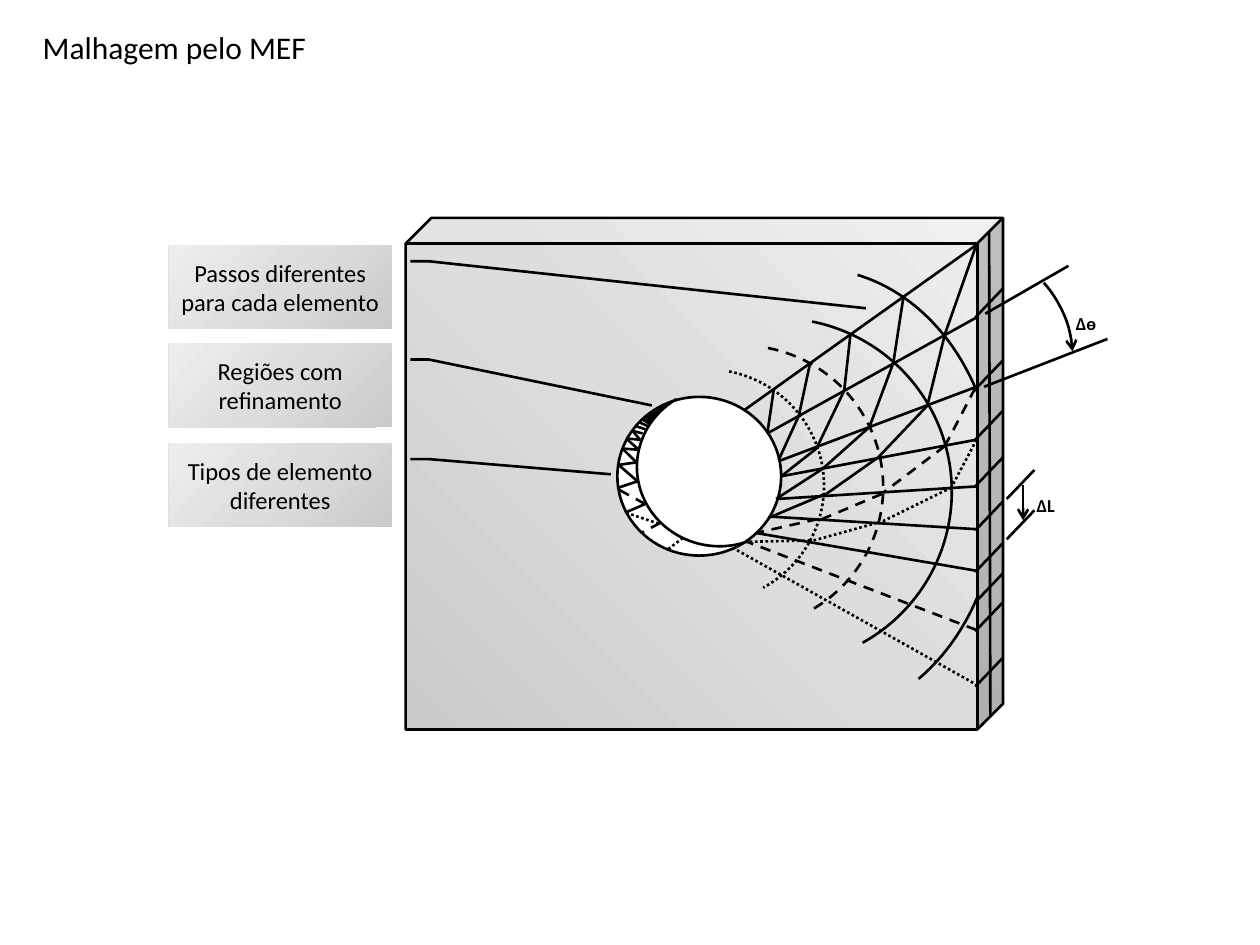
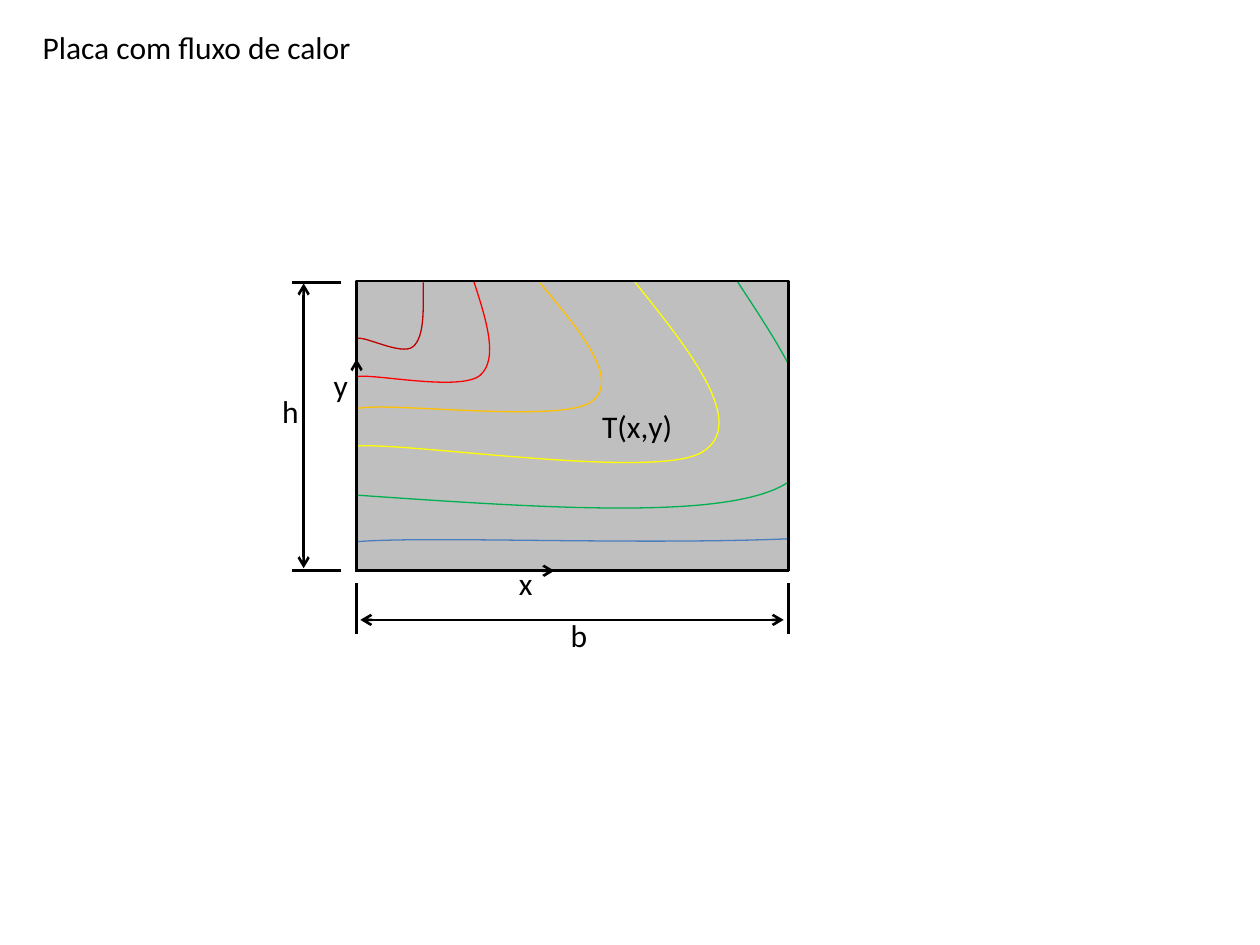
from dataclasses import dataclass
from itertools import pairwise

from lxml.etree import SubElement
from pptx import Presentation
from pptx.dml.color import RGBColor
from pptx.enum.dml import MSO_LINE
from pptx.enum.shapes import MSO_CONNECTOR, MSO_SHAPE
from pptx.enum.text import MSO_ANCHOR, MSO_AUTO_SIZE, PP_ALIGN
from pptx.oxml.ns import qn
from pptx.shapes.autoshape import Shape
from pptx.slide import Slide
from pptx.text.text import Font
from pptx.util import Inches, Pt

Point = tuple[float, float]
Frame = tuple[float, float, float, float]


@dataclass(frozen=True)
class Theme:
    font: str = "Calibri"
    ink: str = "000000"
    paper: str = "FFFFFF"
    plate: str = "BFBFBF"
    metal: tuple[str, ...] = ("CACACA", "DDDDDD", "EEEEEE")
    text_size: float = 18
    callout_size: float = 14
    line_width: float = 1.5
    isotherm_width: float = 0.75


THEME = Theme()
DASH, DOT = MSO_LINE.DASH, MSO_LINE.ROUND_DOT


@dataclass(frozen=True)
class Chain:
    """Points joined one after the other by straight lines."""
    points: tuple[Point, ...]
    dash: MSO_LINE | None = None


@dataclass(frozen=True)
class Arc:
    frame: Frame
    start: float
    end: float
    dash: MSO_LINE | None = None
    rotation: float = 270
    arrow: bool = False


@dataclass(frozen=True)
class Callout:
    text: str
    top: float
    target: Point


@dataclass(frozen=True)
class Isotherm:
    """Start point, then three control points for each cubic curve."""
    color: str
    points: tuple[Point, ...]


# Shared drawing functions
def style_line(shape, dash: MSO_LINE | None = None, ends: str = "",
               color: str = THEME.ink, width: float = THEME.line_width) -> None:
    shape.line.color.rgb = RGBColor.from_string(color)
    shape.line.width = Pt(width)
    if dash is not None:
        shape.line.dash_style = dash
    outline = shape._element.spPr.find(qn("a:ln"))
    for end in ends.split():
        SubElement(outline, qn(f"a:{end}End"), type="arrow")


def style_font(font: Font, size: float) -> None:
    font.name = THEME.font
    font.size = Pt(size)
    font.color.rgb = RGBColor.from_string(THEME.ink)


def add_line(page: Slide, start: Point, end: Point,
             dash: MSO_LINE | None = None, ends: str = "") -> None:
    line = page.shapes.add_connector(
        MSO_CONNECTOR.STRAIGHT, *(Inches(value) for value in start + end))
    style_line(line, dash, ends)
    SubElement(line._element.spPr, qn("a:effectLst"))


def add_chain(page: Slide, chain: Chain) -> None:
    for start, end in pairwise(chain.points):
        add_line(page, start, end, chain.dash)


def add_preset(page: Slide, kind: MSO_SHAPE, frame: Frame, fill: str | None = None,
               adjustments: tuple[float, ...] = (), outlined: bool = True) -> Shape:
    shape = page.shapes.add_shape(kind, *(Inches(value) for value in frame))
    shape.shadow.inherit = False
    for index, value in enumerate(adjustments):
        shape.adjustments[index] = value
    if fill:
        shape.fill.solid()
        shape.fill.fore_color.rgb = RGBColor.from_string(fill)
    else:
        shape.fill.background()
    if outlined:
        style_line(shape)
    else:
        shape.line.fill.background()
    return shape


def fill_metal(shape: Shape) -> None:
    shape.fill.gradient()
    shape.fill.gradient_angle = 45
    stops = shape._element.spPr.find(qn("a:gradFill")).find(qn("a:gsLst"))
    for stop in list(stops):
        stops.remove(stop)
    for index, color in enumerate(THEME.metal):
        stop = SubElement(stops, qn("a:gs"), pos=str(index * 50000))
        SubElement(stop, qn("a:srgbClr"), val=color)


def add_arc(page: Slide, arc: Arc) -> None:
    shape = add_preset(page, MSO_SHAPE.ARC, arc.frame, adjustments=(arc.start, arc.end))
    shape.rotation = arc.rotation
    style_line(shape, arc.dash, "tail" if arc.arrow else "")


def add_label(page: Slide, text: str, frame: Frame, subscript: bool = False) -> None:
    box = page.shapes.add_textbox(*(Inches(value) for value in frame))
    box.text_frame.text = text
    box.text_frame.word_wrap = False
    box.text_frame.auto_size = MSO_AUTO_SIZE.SHAPE_TO_FIT_TEXT
    span = box.text_frame.paragraphs[0].runs[0]
    style_font(span.font, THEME.text_size)
    if subscript:
        span.font.bold = True
        span._r.get_or_add_rPr().set("baseline", "-25000")


def add_callout(page: Slide, callout: Callout) -> None:
    shape = add_preset(page, MSO_SHAPE.LINE_CALLOUT_2_NO_BORDER,
                       (1.34, callout.top, 1.77, 0.66),
                       adjustments=(0.188, -0.083, 0.188, -0.167, *callout.target))
    fill_metal(shape)
    shape._element.spPr.find(qn("a:xfrm")).set("flipH", "1")
    frame = shape.text_frame
    frame.text = callout.text
    frame.word_wrap = True
    frame.vertical_anchor = MSO_ANCHOR.MIDDLE
    frame.margin_left = frame.margin_right = Inches(0.08)
    para = frame.paragraphs[0]
    para.alignment = PP_ALIGN.CENTER
    style_font(para.runs[0].font, THEME.callout_size)


def add_isotherm(page: Slide, isotherm: Isotherm) -> None:
    start, *controls = [(Inches(x), Inches(y)) for x, y in isotherm.points]
    builder = page.shapes.build_freeform(*start)
    builder.add_line_segments(controls, close=False)
    shape = builder.convert_to_shape()
    # Turn each three straight segments into one cubic curve
    outline = next(shape._element.iter(qn("a:path")))
    segments = outline.findall(qn("a:lnTo"))
    for first in range(0, len(segments), 3):
        curve = SubElement(outline, qn("a:cubicBezTo"))
        for segment in segments[first:first + 3]:
            curve.append(segment[0])
            outline.remove(segment)
    shape.shadow.inherit = False
    shape.fill.background()
    style_line(shape, color=isotherm.color, width=THEME.isotherm_width)


def add_page(deck, title: str, title_width: float) -> Slide:
    page = deck.slides.add_slide(deck.slide_layouts[6])
    add_label(page, title, (0.24, 0.17, title_width, 0.4))
    return page


# Mesh slide
RADIAL_LINES = (
    Chain(((7.75, 5), (5.93, 4.3)), DASH),
    Chain(((5.9, 3.26), (7.74, 1.95))), Chain(((6.09, 3.44), (7.75, 2.52))),
    Chain(((6.18, 3.66), (7.75, 3.07))), Chain(((6.2, 3.78), (7.75, 3.49))),
    Chain(((6.17, 3.96), (7.76, 3.86))), Chain(((7.76, 5.44), (5.82, 4.35)), DOT),
    Chain(((6, 4.23), (7.75, 4.53))), Chain(((7.75, 4.2), (6.11, 4.1))),
)
RING_ARCS = (
    Arc((5.08, 3.05, 1.26, 1.31), 95.35, 196.589),
    Arc((4.68, 2.92, 1.85, 1.87), 6.802, 90.471, DOT),
    Arc((4.75, 2.73, 2.25, 2.27), 6.802, 90.471, DASH),
    Arc((4.8, 2.52, 2.75, 2.76), 6.802, 90.471),
    Arc((4.68, 2.46, 3.56, 2.9), 6.802, 34.955),
    Arc((4.69, 2.47, 3.56, 2.9), 73.534, 90.471),
    Arc((7.15, 2.11, 1.48, 1.17), 149.594, 184.06, rotation=61.8, arrow=True),
)
DIAGONALS = (
    Chain(((6.14, 3.1), (6.09, 3.44))),
    Chain(((6.43, 2.88), (6.34, 3.3), (6.18, 3.65))),
    Chain(((6.75, 2.65), (6.7, 3.1), (6.48, 3.56), (6.2, 3.78))),
    Chain(((7.17, 2.36), (7.09, 2.88), (6.9, 3.39), (6.53, 3.72), (6.16, 3.96))),
    Chain(((7.75, 1.94), (7.5, 2.65), (7.36, 3.22), (6.97, 3.63), (6.53, 3.94))),
    Chain(((6.55, 3.92), (6.1, 4.11))),
    Chain(((7.74, 3.08), (7.51, 3.52)), DASH), Chain(((7.5, 3.54), (7.01, 3.91)), DASH),
    Chain(((7, 3.92), (6.5, 4.13)), DASH), Chain(((6.49, 4.12), (6, 4.23)), DASH),
    Chain(((7.75, 3.49), (7.55, 3.87), (6.96, 4.16)), DOT),
    Chain(((6.96, 4.15), (6.42, 4.3)), DOT), Chain(((6.43, 4.29), (5.93, 4.3)), DOT),
)
HOLE_MESH = (
    Chain(((5.1, 3.44), (5.02, 3.42), (5.08, 3.49), (4.97, 3.48), (5.07, 3.57),
           (4.94, 3.56), (5.05, 3.67), (4.91, 3.69), (5.06, 3.82), (4.91, 3.87))),
    Chain(((5.13, 3.41), (5.04, 3.38))), Chain(((5.14, 3.38), (5.07, 3.35))),
    Chain(((5.15, 3.36), (5.1, 3.33))), Chain(((5.27, 3.22), (5.13, 3.34))),
    Chain(((5.12, 4), (4.96, 4.07))), Chain(((5.12, 4), (4.9, 3.88)), DASH),
    Chain(((4.97, 4.07), (5.24, 4.16)), DOT), Chain(((5.24, 4.15), (5.09, 4.23)), DASH),
    Chain(((5.42, 4.27), (5.3, 4.36)), DOT),
)
DIMENSION_LINES = (
    Chain(((7.86, 5.68), (7.85, 1.84))),
    Chain(((7.82, 2.49), (8.48, 2.11))), Chain(((7.81, 3.07), (8.79, 2.69))),
    Chain(((8.21, 4.05), (7.99, 4.28))), Chain(((8.21, 3.73), (7.99, 3.96))),
)
EDGE_TICKS = (2.29, 2.86, 3.26, 3.63, 3.98, 4.31, 4.55, 4.78, 5.22)
CALLOUTS = (
    Callout("Passos diferentes para cada elemento", 1.95, (0.753, -2.126)),
    Callout("Regiões com refinamento", 2.73, (0.74, -1.166)),
    Callout("Tipos de elemento diferentes", 3.52, (0.371, -0.982)),
)


def build_mesh_page(deck) -> None:
    page = add_page(deck, "Malhagem pelo MEF", 2.32)
    block = add_preset(page, MSO_SHAPE.CUBE, (3.22, 1.73, 4.74, 4.06), adjustments=(0.05,))
    fill_metal(block)
    add_preset(page, MSO_SHAPE.OVAL, (4.9, 3.15, 1.3, 1.26), THEME.paper)
    for arc in RING_ARCS:
        add_arc(page, arc)
    for chain in RADIAL_LINES + DIAGONALS + HOLE_MESH + DIMENSION_LINES:
        add_chain(page, chain)
    for top in EDGE_TICKS:
        add_line(page, (7.96, top), (7.74, top + 0.23))
    wedge = add_preset(page, MSO_SHAPE.ISOSCELES_TRIANGLE, (5.16, 3.19, 0.08, 0.19),
                       THEME.ink, outlined=False)
    wedge.rotation = 47.9
    add_line(page, (8.12, 3.85), (8.12, 4.13), ends="tail")
    add_label(page, "Δѳ", (8.44, 2.26, 0.38, 0.3), subscript=True)
    add_label(page, "ΔL", (8.13, 3.71, 0.37, 0.3), subscript=True)
    for callout in CALLOUTS:
        add_callout(page, callout)


# Heat flow slide
LEFT, TOP, RIGHT, BOTTOM = 2.83, 2.23, 6.26, 4.53
ISOTHERMS = (
    Isotherm("C00000", ((3.36, 2.24), (3.36, 2.46), (3.37, 2.67), (3.28, 2.75),
                        (3.19, 2.83), (2.87, 2.65), (2.83, 2.69))),
    Isotherm("FF0000", ((3.76, 2.23), (3.86, 2.54), (3.96, 2.85), (3.81, 2.98),
                        (3.65, 3.11), (2.95, 2.96), (2.83, 2.99))),
    Isotherm("FFC000", ((4.28, 2.24), (4.61, 2.63), (4.93, 3.02), (4.69, 3.19),
                        (4.45, 3.36), (3.11, 3.19), (2.84, 3.24))),
    Isotherm("FFFF00", ((5.04, 2.24), (5.49, 2.8), (5.94, 3.37), (5.57, 3.59),
                        (5.2, 3.81), (3.26, 3.51), (2.83, 3.54))),
    Isotherm("00B050", ((5.85, 2.23), (6.29, 2.9), (6.73, 3.56), (6.22, 3.85),
                        (5.72, 4.13), (4.28, 4.03), (2.83, 3.93))),
    Isotherm("4B7EBC", ((6.88, 2.23), (7.58, 2.98), (8.28, 3.74), (7.6, 4.08),
                        (6.93, 4.43), (3.67, 4.23), (2.83, 4.3))),
)
HEAT_LABELS = (
    ("x", (4.02, 4.43, 0.31, 0.4)), ("y", (2.55, 2.86, 0.32, 0.4)),
    ("b", (4.43, 4.84, 0.34, 0.4)), ("h", (2.14, 3.06, 0.34, 0.4)),
    ("T(x,y)", (4.68, 3.18, 0.76, 0.4)),
)


def build_heat_page(deck) -> None:
    page = add_page(deck, "Placa com fluxo de calor", 2.67)
    add_preset(page, MSO_SHAPE.RECTANGLE, (LEFT, TOP, RIGHT - LEFT, BOTTOM - TOP), THEME.plate)
    for isotherm in ISOTHERMS:
        add_isotherm(page, isotherm)
    # White area that ends the curves at the plate's right edge
    add_preset(page, MSO_SHAPE.RECTANGLE, (6.27, 2.17, 2.08, 2.33), THEME.paper, outlined=False)
    for x in (LEFT, RIGHT):
        add_line(page, (x, TOP), (x, BOTTOM))
        add_line(page, (x, 4.63), (x, 5.03))
    for y in (TOP, BOTTOM):
        add_line(page, (LEFT, y), (RIGHT, y))
    for y in (2.24, BOTTOM):
        add_line(page, (2.32, y), (2.71, y))
    # Axes and dimensions
    add_line(page, (LEFT, 4.43), (LEFT, 2.85), ends="tail")
    add_line(page, (2.82, BOTTOM), (4.4, BOTTOM), ends="tail")
    add_line(page, (2.41, 4.51), (2.41, 2.25), ends="head tail")
    add_line(page, (2.86, 4.92), (6.22, 4.92), ends="head tail")
    for text, frame in HEAT_LABELS:
        add_label(page, text, frame)


def main() -> None:
    deck = Presentation()
    deck.slide_width, deck.slide_height = Inches(10), Inches(7.5)
    build_mesh_page(deck)
    build_heat_page(deck)
    deck.save("out.pptx")


if __name__ == "__main__":
    main()
